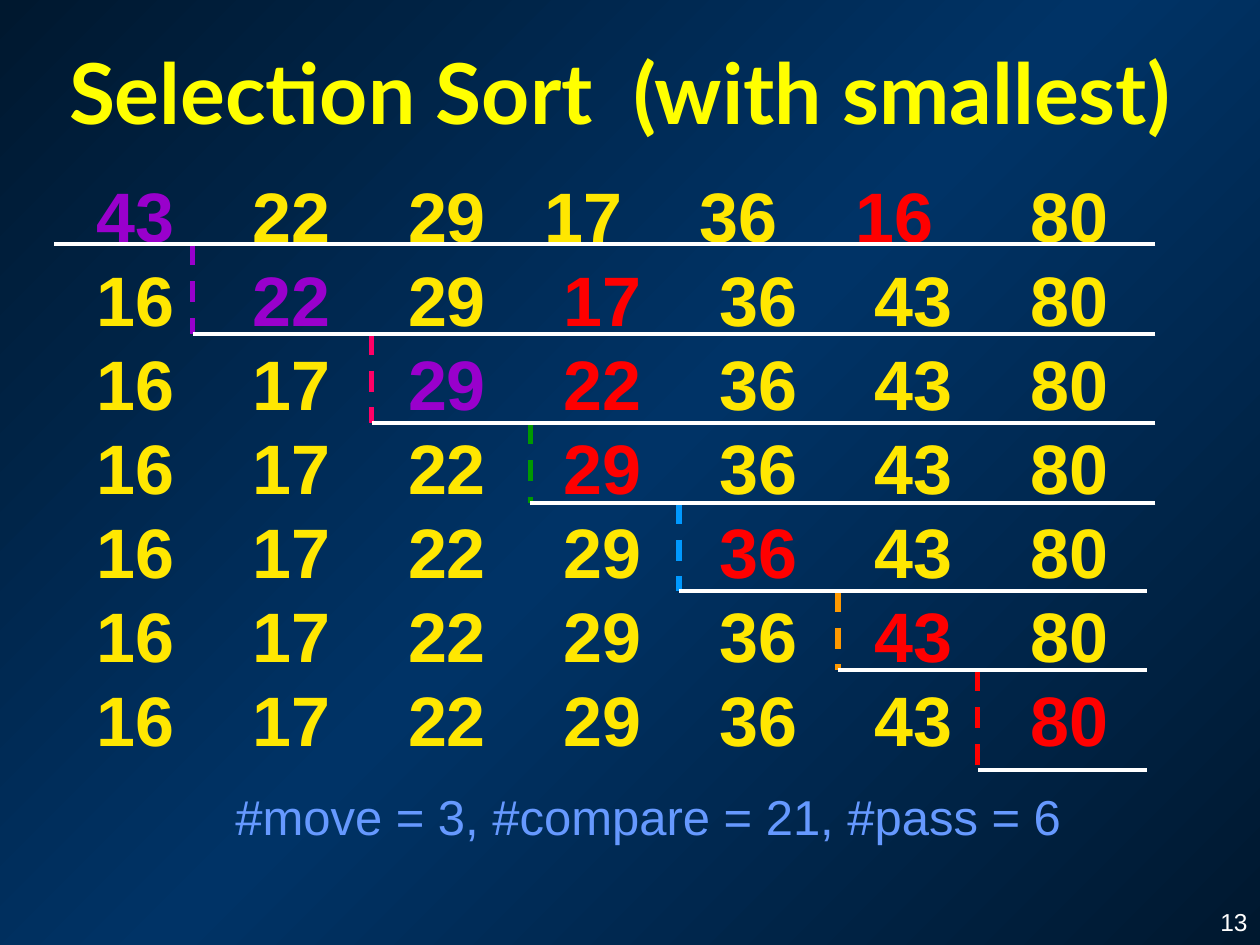
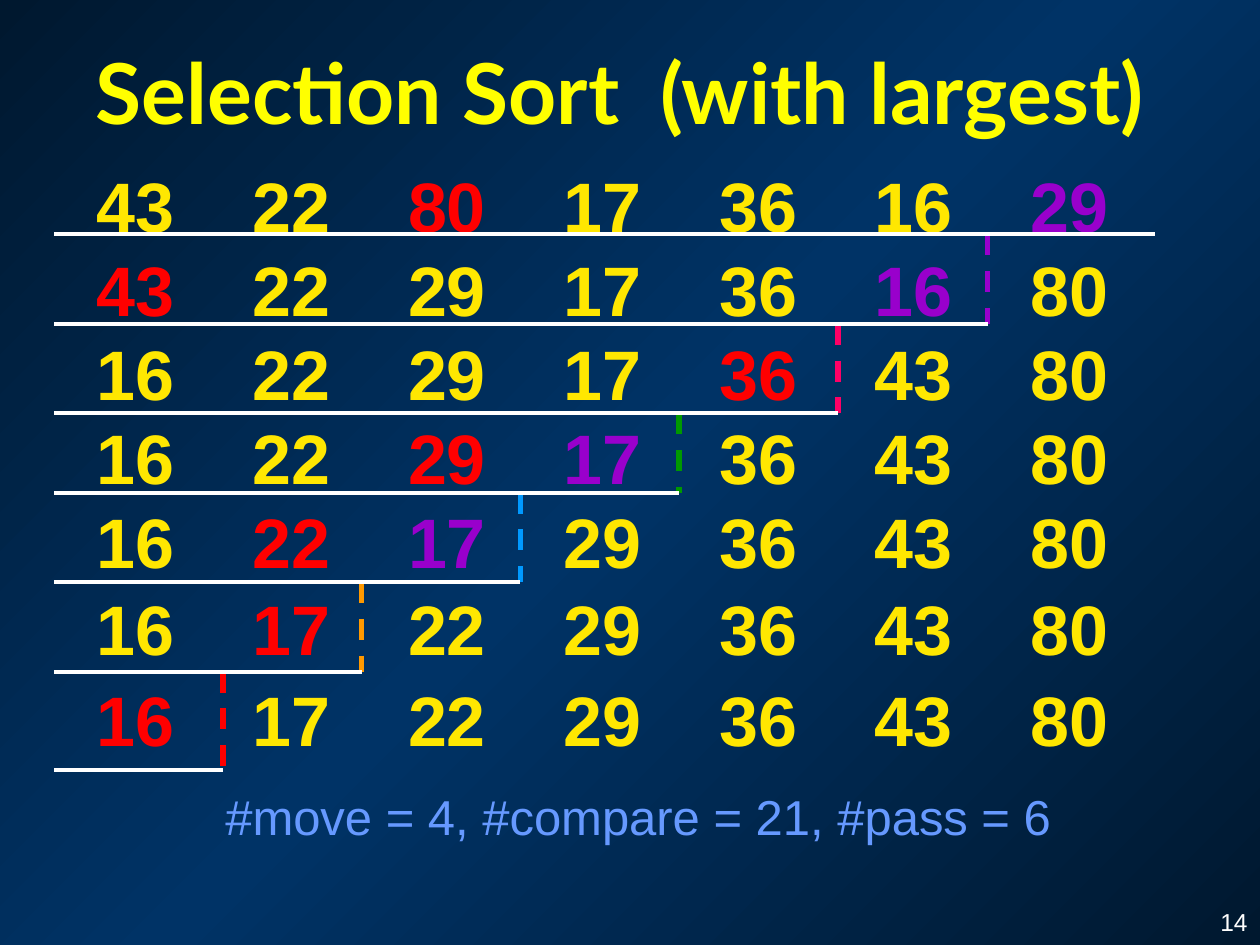
from copy import deepcopy
from dataclasses import dataclass

from lxml import etree
from pptx import Presentation
from pptx.dml.color import RGBColor
from pptx.enum.dml import MSO_LINE
from pptx.enum.shapes import MSO_CONNECTOR
from pptx.enum.text import MSO_ANCHOR, MSO_AUTO_SIZE, PP_ALIGN
from pptx.oxml.ns import qn
from pptx.util import Inches, Pt

WIDE, HIGH = Inches(10), Inches(7.5)
DASH = MSO_LINE.DASH
STRAIGHT = MSO_CONNECTOR.STRAIGHT
MIDDLE = MSO_ANCHOR.MIDDLE
FIXED = MSO_AUTO_SIZE.NONE
LEFT, CENTER, RIGHT = PP_ALIGN.LEFT, PP_ALIGN.CENTER, PP_ALIGN.RIGHT

COLORS = {
    "edge": "00182F", "mid": "003366", "title": "FFFF00", "plain": "FFE701",
    "swap": "9900CC", "pick": "FF0000", "note": "6699FF", "white": "FFFFFF",
}
STEPS = ("9900CC", "FF0066", "009900", "0099FF", "FF9900", "FF0000")
MARKS = {"s": "swap", "p": "pick"}
COLUMN = 12.35
NEAR, FAR = 4.3, 91.7


@dataclass(frozen=True)
class Box:
    left: float
    top: float
    width: float
    height: float


@dataclass(frozen=True)
class Font:
    name: str
    size: int
    color: str
    bold: bool = False


@dataclass(frozen=True)
class Row:
    text: str
    before: float = 0
    shifts: tuple[float, ...] = (0,) * 7


@dataclass(frozen=True)
class Sort:
    title: str
    rows: tuple[Row, ...]
    grid: Box
    start: float
    ends: tuple[float, ...]
    stairs: tuple[float, ...]
    levels: tuple[float, ...]
    note: str
    indent: float
    page: str


TITLE = Box(4.3, 2.8, 89.8, 13.6)
PAGE = Box(76.7, 95.33, 23.3, 4.67)
HEAD = Font("Lato", 48, "title", True)
DIGIT = Font("Arial", 40, "plain", True)
NOTE = Font("Arial", 28, "note")
SMALL = Font("Arial", 14, "white")

SORTS = (
    Sort(
        "Selection Sort  (with smallest)",
        (
            Row("43s 22 29 17 36 16p 80", shifts=(0, 0, 0, -1.54, -1.54, -1.54, 0)),
            Row("16 22s 29 17p 36 43 80"),
            Row("16 17 29s 22p 36 43 80"),
            Row("16 17 22 29p 36 43 80"),
            Row("16 17 22 29 36p 43 80"),
            Row("16 17 22 29 36 43p 80"),
            Row("16 17 22 29 36 43 80p"),
        ),
        Box(6.7, 17.6, 84.7, 64.13),
        NEAR,
        (FAR,) * 4 + (91,) * 3,
        (15.3, 29.5, 42.1, 53.9, 66.5, 77.6),
        (25.87, 35.33, 44.8, 53.2, 62.53, 70.93, 81.47),
        "#move = 3, #compare = 21, #pass = 6",
        17.7,
        "13",
    ),
    Sort(
        "Selection Sort  (with largest)",
        (
            Row("43 22 80p 17 36 16 29s"),
            Row("43p 22 29 17 36 16s 80"),
            Row("16 22 29 17 36p 43 80"),
            Row("16 22 29p 17s 36 43 80"),
            Row("16 22p 17s 29 36 43 80"),
            Row("16 17p 22 29 36 43 80", 2),
            Row("16p 17 22 29 36 43 80", 4),
        ),
        Box(6.7, 16.53, 82.4, 64.93),
        FAR,
        (NEAR,) * 7,
        (78.4, 66.5, 53.9, 41.3, 28.7, 17.7),
        (24.8, 34.27, 43.73, 52.13, 61.6, 71.07, 81.47),
        "#move = 4, #compare = 21, #pass = 6",
        16.9,
        "14",
    ),
)


def across(share: float) -> int:
    return round(WIDE * share / 100)


def down(share: float) -> int:
    return round(HIGH * share / 100)


def place(box: Box) -> tuple[int, int, int, int]:
    return across(box.left), down(box.top), across(box.width), down(box.height)


def style(para, font: Font, align=LEFT) -> None:
    para.alignment = align
    para.font.name = font.name
    para.font.size = Pt(font.size)
    para.font.bold = font.bold
    para.font.color.rgb = RGBColor.from_string(COLORS[font.color])


def label(slide, box: Box, text: str, font: Font, align=LEFT, wrap: bool = False) -> None:
    frame = slide.shapes.add_textbox(*place(box)).text_frame
    frame.word_wrap = wrap
    frame.text = text
    style(frame.paragraphs[0], font, align)


def line(slide, left: float, top: float, right: float, base: float,
         color: str, width: float, dash=None) -> None:
    link = slide.shapes.add_connector(
        STRAIGHT, across(left), down(top), across(right), down(base))
    link.line.color.rgb = RGBColor.from_string(color)
    link.line.width = Pt(width)
    if dash is not None:
        link.line.dash_style = dash
    etree.SubElement(link._element.spPr, qn("a:effectLst"))


def set_tabs(para, shifts: tuple[float, ...]) -> None:
    tabs = etree.SubElement(para._p.get_or_add_pPr(), qn("a:tabLst"))
    for index, shift in enumerate(shifts[1:], 1):
        place_at = across(index * COLUMN + shift)
        etree.SubElement(tabs, qn("a:tab"), pos=str(place_at), algn="l")


def draw_rows(slide, sort: Sort) -> None:
    frame = slide.shapes.add_textbox(*place(sort.grid)).text_frame
    frame.word_wrap = True
    for index, row in enumerate(sort.rows):
        para = frame.add_paragraph() if index else frame.paragraphs[0]
        set_tabs(para, row.shifts)
        para.line_spacing = Pt(48)
        para.space_before = Pt(row.before)
        style(para, DIGIT)
        for column, word in enumerate(row.text.split()):
            run = para.add_run()
            run.text = ("\t" if column else "") + word[:2]
            if word[2:]:
                color = COLORS[MARKS[word[2:]]]
                run.font.color.rgb = RGBColor.from_string(color)


def draw_stairs(slide, sort: Sort) -> None:
    levels = sort.levels
    for x, top, base, color in zip(sort.stairs, levels, levels[1:], STEPS):
        line(slide, x, top, x, base, color, 3, DASH)
    for end, y, x in zip(sort.ends, levels, (sort.start, *sort.stairs)):
        line(slide, end, y, x, y, COLORS["white"], 2.25)


def set_master(deck) -> None:
    fill = deck.slide_master.background.fill
    fill.gradient()
    fill.gradient_angle = 315
    first = fill.gradient_stops[0]._gs
    first.addnext(deepcopy(first))
    shades = ((0, "edge"), (0.5, "mid"), (1, "edge"))
    for stop, (spot, name) in zip(fill.gradient_stops, shades):
        stop.position = spot
        stop.color.rgb = RGBColor.from_string(COLORS[name])


def draw_title(slide, text: str) -> None:
    title = slide.shapes.title
    title.left, title.top, title.width, title.height = place(TITLE)
    frame = title.text_frame
    frame.text = text
    frame.auto_size = FIXED
    frame.vertical_anchor = MIDDLE
    frame.margin_left = frame.margin_right = Inches(0.05)
    style(frame.paragraphs[0], HEAD, CENTER)


def draw_sort(deck, sort: Sort) -> None:
    slide = deck.slides.add_slide(deck.slide_layouts[5])
    draw_title(slide, sort.title)
    draw_rows(slide, sort)
    draw_stairs(slide, sort)
    label(slide, Box(sort.indent, 82.53, 67.7, 7.6), sort.note, NOTE)
    label(slide, PAGE, sort.page, SMALL, RIGHT, True)


def main() -> None:
    deck = Presentation()
    deck.slide_width, deck.slide_height = WIDE, HIGH
    set_master(deck)
    for sort in SORTS:
        draw_sort(deck, sort)
    deck.save("out.pptx")


if __name__ == "__main__":
    main()
